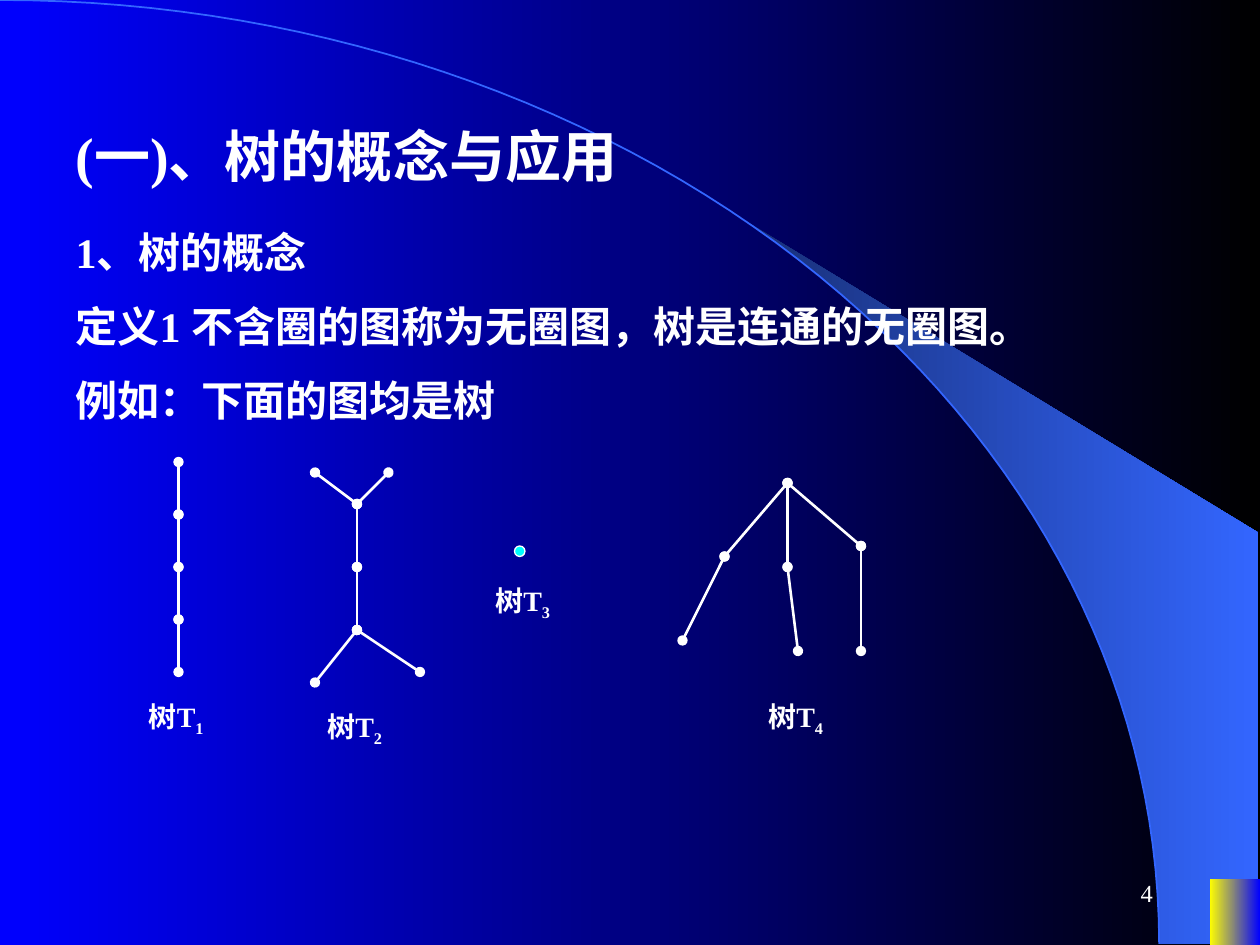
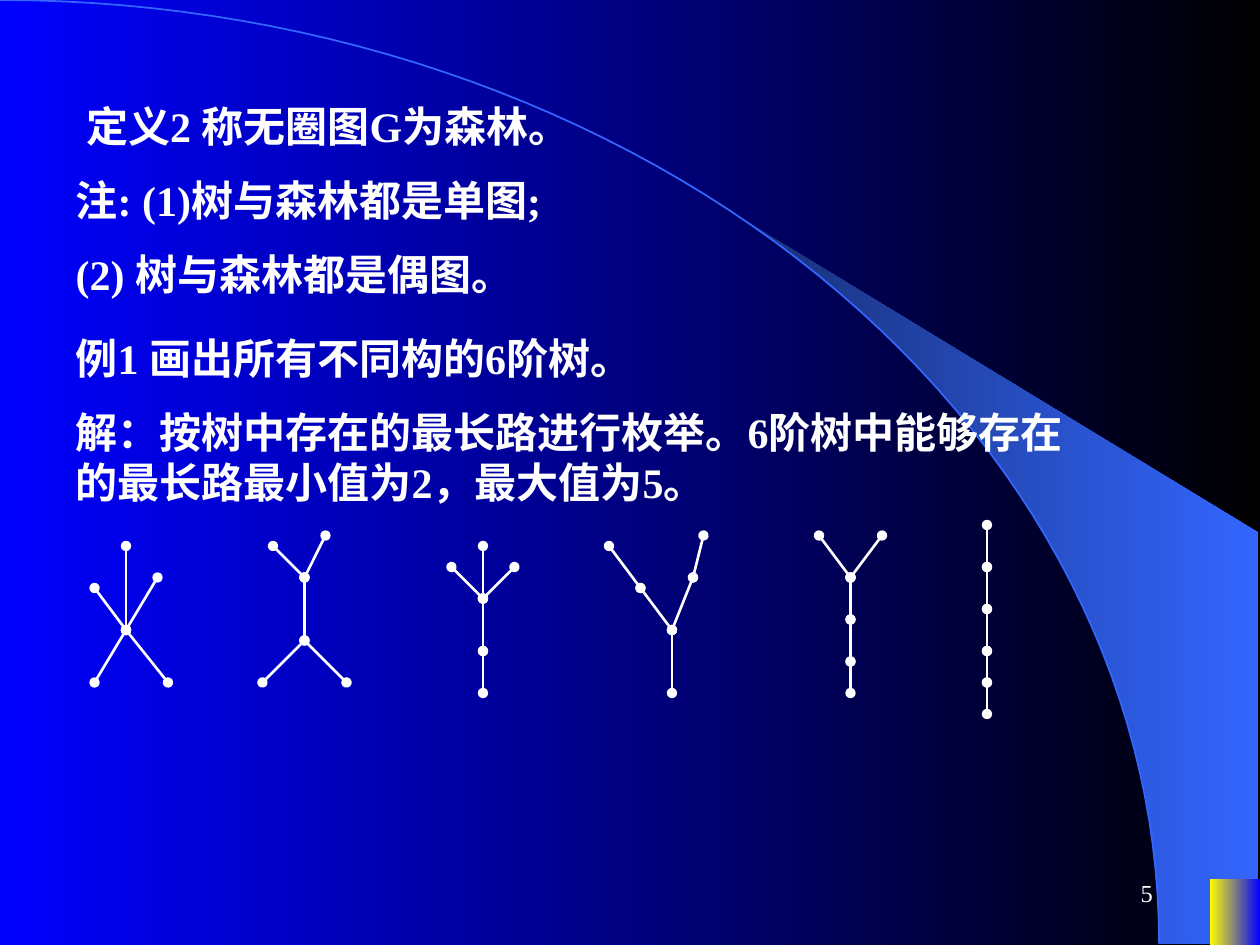
"""Build two lecture slides on trees in graph theory."""
from math import asin, cos, pi, sin

from lxml import etree
from pptx import Presentation
from pptx.dml.color import RGBColor
from pptx.enum.shapes import MSO_CONNECTOR, MSO_SHAPE
from pptx.enum.text import MSO_ANCHOR, MSO_AUTO_SIZE, PP_ALIGN
from pptx.oxml.ns import qn
from pptx.util import Inches, Pt

RECTANGLE, OVAL = MSO_SHAPE.RECTANGLE, MSO_SHAPE.OVAL
STRAIGHT = MSO_CONNECTOR.STRAIGHT
TOP, MIDDLE = MSO_ANCHOR.TOP, MSO_ANCHOR.MIDDLE
LEFT, RIGHT = PP_ALIGN.LEFT, PP_ALIGN.RIGHT

COLORS = {
    "blue": "0000FF", "black": "000000", "navy": "182F76", "sky": "3366FF",
    "yellow": "FFFF00", "cyan": "00FFFF", "white": "FFFFFF",
}
FONT = "Times New Roman"
UNITS_PER_INCH = 12
LINE_HEIGHT = 28.6
ARC_WIDTH, ARC_HEIGHT = 9.2, 7.49
BLADE_LEFT = 5.89
BLADE_CORNERS = [(9.99, 7.49), (9.99, 4.23)]
FRAME_FORMAT = {
    "word_wrap": True, "auto_size": MSO_AUTO_SIZE.NONE,
    "margin_left": Inches(0.1), "margin_right": Inches(0.1),
    "margin_top": Inches(0.05), "margin_bottom": Inches(0.05),
}

# Positions of boxes, labels and nodes are in twelfths of an inch.
SLIDES = [
    {
        "number": "4",
        "title": ("(一)、树的概念与应用", 32, (6, 11, 88, 8)),
        "body_box": (6, 21, 99, 20),
        "body": [
            ("1、树的概念", 0),
            ("定义1 不含圈的图称为无圈图，树是连通的无圈图。", 7),
            ("例如：下面的图均是树", 7),
        ],
        "trees": [
            {"label": ("1", 13, 66),
             "branches": [[(17, 44), (17, 49), (17, 54), (17, 59), (17, 64)]]},
            {"label": ("2", 30, 67),
             "branches": [[(30, 45), (34, 48), (34, 54), (34, 60), (30, 65)],
                          [(37, 45), (34, 48)], [(34, 60), (40, 64)]]},
            {"label": ("3", 46, 55), "dot": (49, 52), "branches": []},
            {"label": ("4", 72, 66),
             "branches": [[(75, 46), (69, 53), (65, 61)],
                          [(75, 46), (75, 54), (76, 62)],
                          [(75, 46), (82, 52), (82, 62)]]},
        ],
    },
    {
        "number": "5",
        "title": ("定义2 称无圈图G为森林。", 24, (7, 9, 99, 6)),
        "body_box": (6, 16, 99, 33),
        "body": [
            ("注: (1)树与森林都是单图;", 0),
            ("(2) 树与森林都是偶图。", 7),
            ("例1 画出所有不同构的6阶树。", 8),
            ("解：按树中存在的最长路进行枚举。6阶树中能够存在的最长路最小值为2，最大值为5。", 7),
        ],
        "trees": [
            {"branches": [[(12, 52), (12, 60), (9, 65)],
                          [(9, 56), (12, 60), (16, 65)],
                          [(15, 55), (12, 60)]]},
            {"branches": [[(26, 52), (29, 55), (29, 61), (25, 65)],
                          [(31, 51), (29, 55)], [(29, 61), (33, 65)]]},
            {"branches": [[(46, 52), (46, 57), (46, 62), (46, 66)],
                          [(43, 54), (46, 57), (49, 54)]]},
            {"branches": [[(58, 52), (61, 56), (64, 60), (64, 66)],
                          [(67, 51), (66, 55), (64, 60)]]},
            {"branches": [[(78, 51), (81, 55), (81, 59), (81, 63), (81, 66)],
                          [(84, 51), (81, 55)]]},
            {"branches": [[(94, 50), (94, 54), (94, 58), (94, 62), (94, 65), (94, 68)]]},
        ],
    },
]


def color(name):
    return RGBColor.from_string(COLORS[name])


def grid(*units):
    return [Inches(unit / UNITS_PER_INCH) for unit in units]


def fill_gradient(fill, first, last):
    fill.gradient()
    fill.gradient_angle = 0
    for stop, name, position in zip(fill.gradient_stops, (first, last), (0, 1)):
        stop.color.rgb = color(name)
        stop.position = position


def format_frame(frame, anchor=TOP):
    for name, value in FRAME_FORMAT.items():
        setattr(frame, name, value)
    frame.vertical_anchor = anchor


def add_run(paragraph, text, size, bold=True):
    run = paragraph.add_run()
    run.text = text
    values = {"name": FONT, "size": Pt(size), "bold": bold}
    for name, value in values.items():
        setattr(run.font, name, value)
    run.font.color.rgb = color("white")
    return run


def place(shape, box):
    for name, value in zip(("left", "top", "width", "height"), grid(*box)):
        setattr(shape, name, value)


def arc_points(start_angle, steps=60):
    angles = [start_angle + (pi / 2 - start_angle) * step / steps for step in range(steps + 1)]
    return [(ARC_WIDTH * sin(angle), ARC_HEIGHT * (1 - cos(angle))) for angle in angles]


def add_outline(shapes, points, close):
    corners = [(Inches(x), Inches(y)) for x, y in points]
    builder = shapes.build_freeform(*corners[0], scale=1.0)
    builder.add_line_segments(corners[1:], close=close)
    return builder.convert_to_shape()


def decorate_master(master, shapes):
    """Draw the shared decoration and move it to the slide master."""
    fill_gradient(master.background.fill, "blue", "black")
    blade = add_outline(shapes, arc_points(asin(BLADE_LEFT / ARC_WIDTH)) + BLADE_CORNERS, True)
    fill_gradient(blade.fill, "navy", "sky")
    arc = add_outline(shapes, arc_points(0), False)
    arc.fill.background()
    corner = shapes.add_shape(RECTANGLE, Inches(9.6), Inches(6.98), Inches(0.4), Inches(0.52))
    fill_gradient(corner.fill, "yellow", "blue")
    for shape in (blade, corner):
        shape.line.fill.background()
    arc.line.color.rgb = color("sky")
    arc.line.width = Pt(1)
    for index, shape in enumerate((blade, arc, corner)):
        shape.shadow.inherit = False
        shape._element.nvSpPr.cNvPr.set("id", str(100 + index))
        master.shapes._spTree.insert(2 + index, shape._element)


def add_edge(shapes, start, end):
    edge = shapes.add_connector(STRAIGHT, *grid(*start, *end))
    edge.line.color.rgb = color("white")
    edge.line.width = Pt(1.5)
    line = edge.line._get_or_add_ln()
    for tag in ("a:headEnd", "a:tailEnd"):
        etree.SubElement(line, qn(tag)).set("type", "oval")
    etree.SubElement(edge._element.spPr, qn("a:effectLst"))


def add_label(shapes, index, left, top):
    label = shapes.add_textbox(*grid(left, top, 11, 5))
    format_frame(label.text_frame)
    paragraph = label.text_frame.paragraphs[0]
    add_run(paragraph, "树T", 16)
    subscript = add_run(paragraph, index, 16)
    subscript._r.get_or_add_rPr().set("baseline", "-25000")


def add_tree(slide, tree):
    shapes = slide.shapes.add_group_shape().shapes
    for branch in tree["branches"]:
        for start, end in zip(branch, branch[1:]):
            add_edge(shapes, start, end)
    if "dot" in tree:
        dot = shapes.add_shape(OVAL, *grid(*tree["dot"], 1, 1))
        dot.shadow.inherit = False
        dot.fill.solid()
        dot.fill.fore_color.rgb = color("cyan")
        dot.line.color.rgb = color("white")
        dot.line.width = Pt(0.75)
    if "label" in tree:
        add_label(shapes, *tree["label"])


def add_title(slide, text, size, box):
    title = slide.shapes.title
    place(title, box)
    format_frame(title.text_frame)
    paragraph = title.text_frame.paragraphs[0]
    paragraph.alignment = LEFT
    add_run(paragraph, text, size)


def add_body(slide, rows, box):
    body = slide.placeholders[1]
    place(body, box)
    frame = body.text_frame
    format_frame(frame)
    for index, (text, pitch) in enumerate(rows):
        paragraph = frame.add_paragraph() if index else frame.paragraphs[0]
        paragraph.space_before = Pt(max(0, pitch * 72 / UNITS_PER_INCH - LINE_HEIGHT))
        properties = paragraph._p.get_or_add_pPr()
        for name in ("marL", "indent"):
            properties.set(name, "0")
        etree.SubElement(properties, qn("a:buNone"))
        add_run(paragraph, text, 24)


def add_number(slide, number):
    box = slide.shapes.add_textbox(*grid(86, 82, 25, 6))
    format_frame(box.text_frame, MIDDLE)
    paragraph = box.text_frame.paragraphs[0]
    paragraph.alignment = RIGHT
    add_run(paragraph, number, 14, bold=False)


def main():
    presentation = Presentation()
    presentation.slide_width, presentation.slide_height = Inches(10), Inches(7.5)
    for index, content in enumerate(SLIDES):
        slide = presentation.slides.add_slide(presentation.slide_layouts[1])
        if index == 0:
            decorate_master(presentation.slide_master, slide.shapes)
        add_number(slide, content["number"])
        add_title(slide, *content["title"])
        add_body(slide, content["body"], content["body_box"])
        for tree in content["trees"]:
            add_tree(slide, tree)
    presentation.save("out.pptx")


if __name__ == "__main__":
    main()
